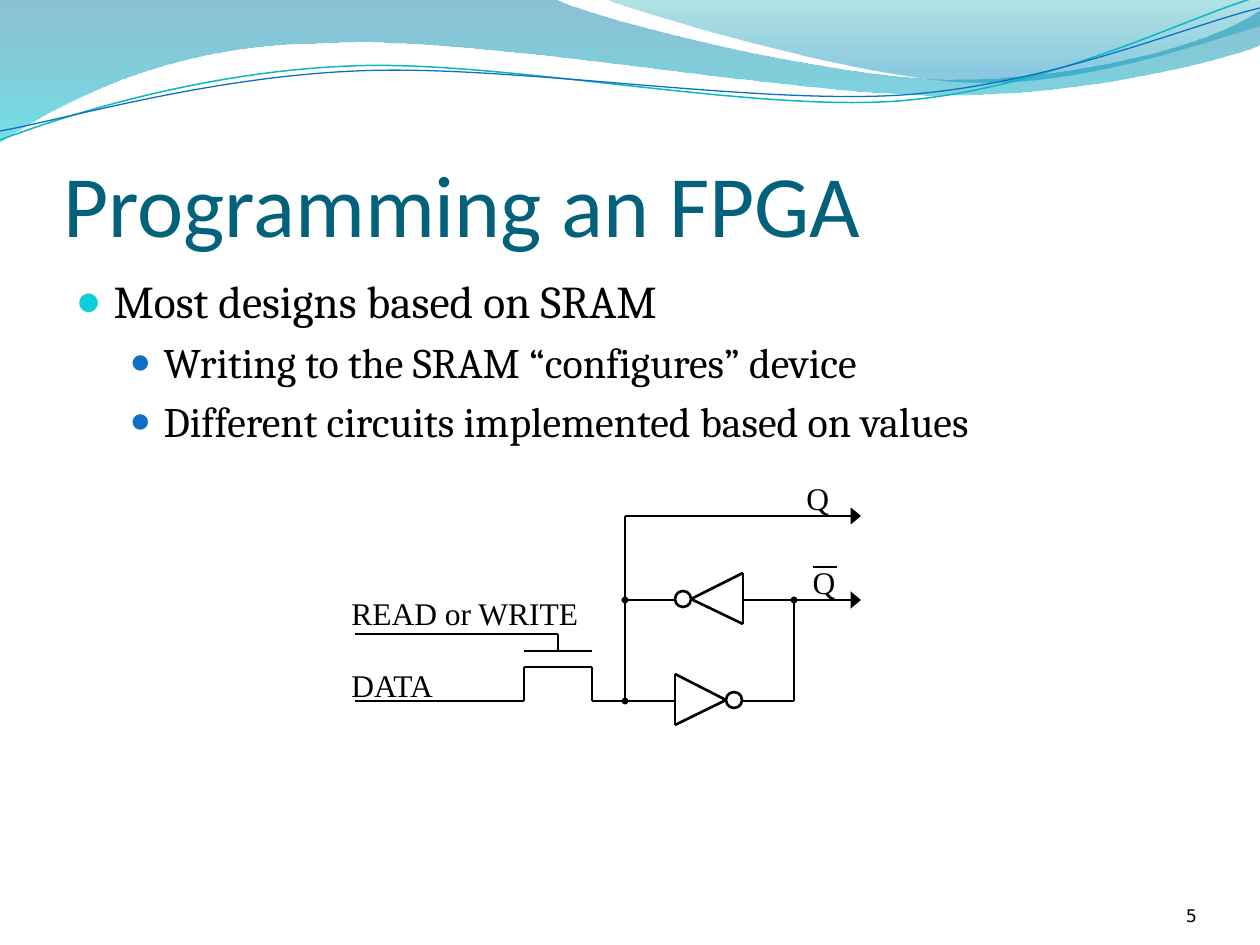
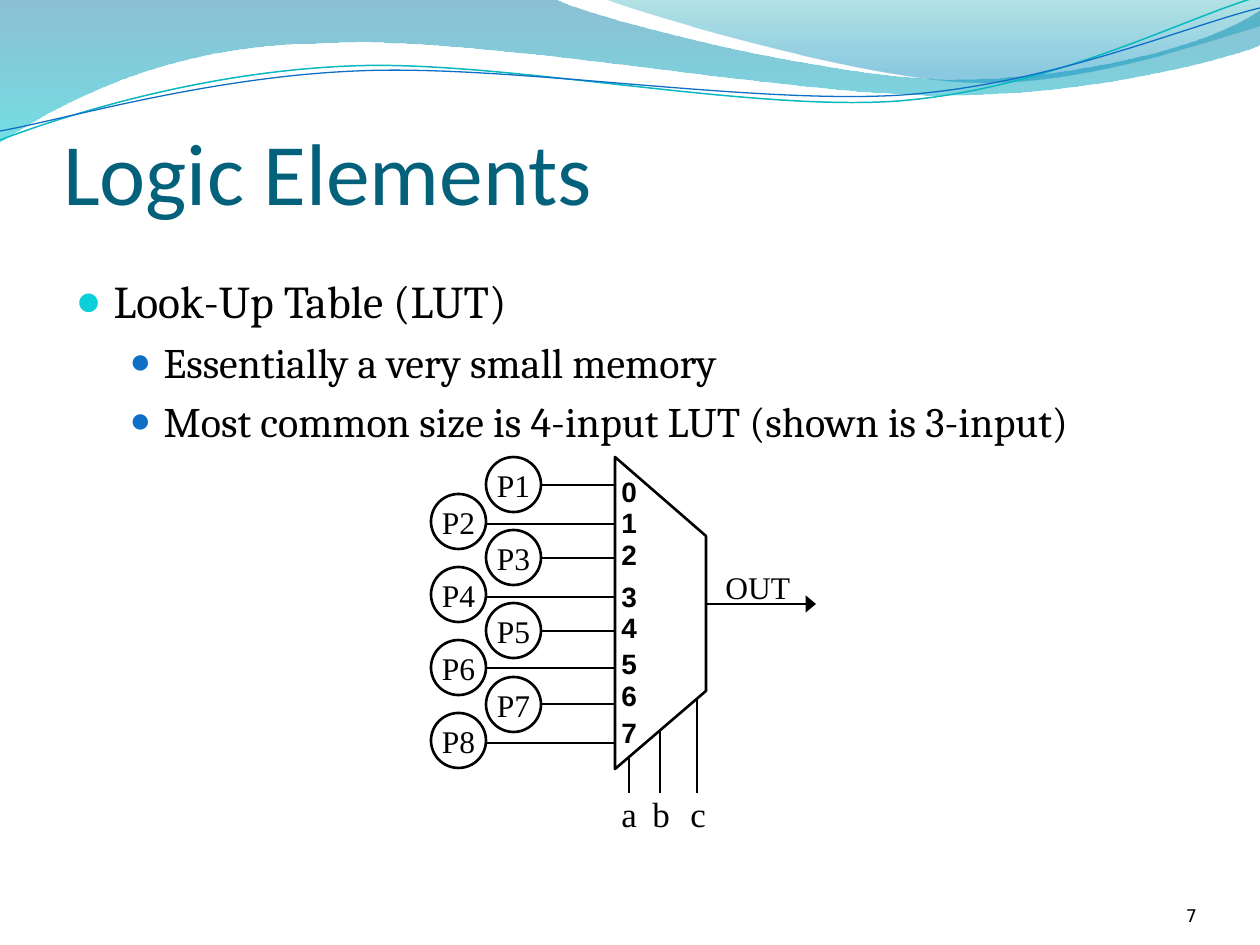
from dataclasses import dataclass

from lxml.etree import SubElement
from pptx import Presentation
from pptx.dml.color import RGBColor
from pptx.enum.shapes import MSO_CONNECTOR, MSO_SHAPE
from pptx.enum.text import MSO_ANCHOR, MSO_AUTO_SIZE, PP_ALIGN
from pptx.oxml.ns import qn
from pptx.util import Emu, Inches, Pt

PIXELS_PER_INCH = 126


@dataclass(frozen=True)
class TextStyle:
    font: str
    size: int
    color: str = "000000"
    bold: bool = False


@dataclass(frozen=True)
class Bullet:
    color: str
    percent: int
    margin: int
    hanging: int


@dataclass(frozen=True)
class Theme:
    ink: str = "000000"
    wire_width: float = 1.5
    title: TextStyle = TextStyle("Calibri", 50, "04617B")
    levels: tuple = (TextStyle("Cambria", 26), TextStyle("Cambria", 24))
    bullets: tuple = (Bullet("0BD0D9", 95, 38, 38), Bullet("0F6FC6", 85, 88, 34))
    number: TextStyle = TextStyle("DejaVu Sans", 10)
    label: TextStyle = TextStyle("Times New Roman", 18)
    select: TextStyle = TextStyle("Times New Roman", 20)
    port: TextStyle = TextStyle("Arial", 16, bold=True)
    # Gradient stops: position, colour, opacity in percent
    wide_wave: tuple = ((0, "0074A1", 45), (1, "00C6CF", 55))
    right_wave: tuple = ((0, "00A1A9", 30), (0.8, "008BBF", 45))
    upper_line: tuple = ("0AB8BF", 0.85)
    lower_line: tuple = ("0F6FC6", 0.75)


THEME = Theme()

# Line ends: type, width, length
ARROW = ("triangle", "lg", "med")
DOT = ("oval", "sm", "sm")

# Outlines: a start, then parts of one point (line) or three points (Bezier curve)
WIDE_WAVE = [
    [(0, -1)], [(554, -1)],
    [(600, 21), (837, 79), (955, 79)], [(1075, 79), (1207, 47), (1260, 11)],
    [(1261, 45)],
    [(1239, 55), (1096, 96), (940, 95)], [(784, 95), (481, 35), (324, 43)],
    [(163, 44), (58, 105), (-1, 142)], [(0, -1)],
]
RIGHT_WAVE = [
    [(604, -1)], [(641, 14), (859, 78), (969, 82)],
    [(1079, 87), (1211, 40), (1260, 26)], [(1260, 0)], [(604, -1)],
]
UPPER_LINE = [
    [(0, 140)], [(60, 117), (199, 72), (349, 66)],
    [(498, 59), (747, 112), (898, 101)], [(1050, 89), (1182, 19), (1257, -3)],
]
LOWER_LINE = [
    [(0, 131)], [(59, 121), (207, 77), (357, 71)],
    [(508, 64), (752, 105), (903, 95)], [(1053, 84), (1186, 26), (1260, 8)],
]
MULTIPLEXER = [[(615, 769)], [(706, 691)], [(706, 536)], [(615, 457)], [(615, 769)]]


def px(value):
    return Emu(round(value * Inches(1) / PIXELS_PER_INCH))


def place(shape, left, top, width, height):
    shape.left, shape.top = px(left), px(top)
    shape.width, shape.height = px(width), px(height)


# Text

def format_paragraph(paragraph, style, alignment=PP_ALIGN.LEFT):
    paragraph.alignment = alignment
    for run in paragraph.runs:
        run.font.name = style.font
        run.font.size = Pt(style.size)
        run.font.bold = style.bold
        run.font.color.rgb = RGBColor.from_string(style.color)


def set_insets(text_frame, top=0):
    text_frame.margin_left = text_frame.margin_right = text_frame.margin_bottom = 0
    text_frame.margin_top = px(top)


def add_label(slide, text, box, style, alignment=PP_ALIGN.LEFT):
    text_box = slide.shapes.add_textbox(*map(px, box))
    text_frame = text_box.text_frame
    text_frame.text = text
    text_frame.word_wrap = False
    text_frame.auto_size = MSO_AUTO_SIZE.SHAPE_TO_FIT_TEXT
    format_paragraph(text_frame.paragraphs[0], style, alignment)


def add_bullet(paragraph, bullet):
    properties = paragraph._p.get_or_add_pPr()
    properties.set("marL", str(px(bullet.margin)))
    properties.set("indent", str(-px(bullet.hanging)))
    color = SubElement(properties, qn("a:buClr"))
    SubElement(color, qn("a:srgbClr"), val=bullet.color)
    SubElement(properties, qn("a:buSzPct"), val=str(bullet.percent * 1000))
    SubElement(properties, qn("a:buFont"), typeface="Arial")
    SubElement(properties, qn("a:buChar"), char="●")


def fill_title(slide, text, top):
    title = slide.shapes.title
    place(title, 63, top, 1134, 158)
    text_frame = title.text_frame
    text_frame.text = text
    text_frame.auto_size = MSO_AUTO_SIZE.NONE
    text_frame.vertical_anchor = MSO_ANCHOR.BOTTOM
    set_insets(text_frame, top=6)
    format_paragraph(text_frame.paragraphs[0], THEME.title)


def fill_list(slide, items):
    body = slide.placeholders[1]
    place(body, 63, 267, 1134, 605)
    text_frame = body.text_frame
    text_frame.text = "\n".join(text for level, text in items)
    text_frame.auto_size = MSO_AUTO_SIZE.NONE
    for paragraph, (level, text) in zip(text_frame.paragraphs, items):
        paragraph.level = level
        format_paragraph(paragraph, THEME.levels[level])
        add_bullet(paragraph, THEME.bullets[level])


def add_number(slide, number):
    text_box = slide.shapes.add_textbox(px(1092), px(876), px(105), px(50))
    text_frame = text_box.text_frame
    text_frame.text = str(number)
    text_frame.word_wrap = True
    text_frame.vertical_anchor = MSO_ANCHOR.BOTTOM
    set_insets(text_frame)
    format_paragraph(text_frame.paragraphs[0], THEME.number, PP_ALIGN.RIGHT)


# Lines and outlines

def set_line(shape, color=THEME.ink, width=THEME.wire_width):
    shape.line.color.rgb = RGBColor.from_string(color)
    shape.line.width = Pt(width)


def add_line_end(connector, tag, end):
    kind, width, length = end
    line = connector.line._get_or_add_ln()
    SubElement(line, qn(tag), type=kind, w=width, len=length)


def add_wire(slide, points, head=None, tail=None):
    """Join the points by straight lines, with optional ends on the whole run."""
    last = len(points) - 2
    for index, (start, end) in enumerate(zip(points, points[1:])):
        wire = slide.shapes.add_connector(
            MSO_CONNECTOR.STRAIGHT, *map(px, start + end))
        set_line(wire)
        if head and index == 0:
            add_line_end(wire, "a:headEnd", head)
        if tail and index == last:
            add_line_end(wire, "a:tailEnd", tail)
        SubElement(wire._element.spPr, qn("a:effectLst"))


def add_circle(slide, left, top, size, text=""):
    circle = slide.shapes.add_shape(
        MSO_SHAPE.OVAL, px(left), px(top), px(size), px(size))
    circle.shadow.inherit = False
    circle.fill.background()
    set_line(circle)
    if text:
        text_frame = circle.text_frame
        text_frame.text = text
        text_frame.word_wrap = False
        text_frame.vertical_anchor = MSO_ANCHOR.MIDDLE
        format_paragraph(text_frame.paragraphs[0], THEME.label, PP_ALIGN.CENTER)


def add_outline(slide, outline):
    start, *rest = [(px(x), px(y)) for part in outline for x, y in part]
    closed = start == rest[-1]
    builder = slide.shapes.build_freeform(*start)
    builder.add_line_segments(rest, close=closed)
    shape = builder.convert_to_shape()
    shape.shadow.inherit = False
    shape.fill.background()
    # Merge the three lines of each curve into one Bezier segment
    lines = iter(list(shape._element.spPr.iter(qn("a:lnTo"))))
    for part in outline[1:]:
        segment = [next(lines) for _ in part]
        if len(segment) == 3:
            curve = segment[0].makeelement(qn("a:cubicBezTo"))
            segment[0].addprevious(curve)
            for line in segment:
                curve.append(line[0])
                line.getparent().remove(line)
    return shape


def add_wave(slide, outline, stops):
    wave = add_outline(slide, outline)
    wave.line.fill.background()
    wave.fill.gradient()
    wave.fill.gradient_angle = 270
    for stop, (position, color, opacity) in zip(wave.fill.gradient_stops, stops):
        stop.position = position
        stop.color.rgb = RGBColor.from_string(color)
    colors = list(wave._element.spPr.iter(qn("a:srgbClr")))
    for color, (_, _, opacity) in zip(colors, stops):
        SubElement(color, qn("a:alpha"), val=str(opacity * 1000))
    return wave


def add_wave_line(slide, outline, line):
    curve = add_outline(slide, outline)
    set_line(curve, *line)
    return curve


def move_band_to_layout(slide):
    """Draw the waves once and hand them to the layout, behind its placeholders."""
    band = [
        add_wave(slide, WIDE_WAVE, THEME.wide_wave),
        add_wave(slide, RIGHT_WAVE, THEME.right_wave),
        add_wave_line(slide, UPPER_LINE, THEME.upper_line),
        add_wave_line(slide, LOWER_LINE, THEME.lower_line),
    ]
    for index, shape in enumerate(band, start=2):
        slide.slide_layout.shapes.element.insert(index, shape.element)


# Diagrams

def draw_memory_cell(slide):
    # Pass transistor with its data and gate wires
    add_wire(slide, [(355, 701), (524, 701), (524, 667), (592, 667), (592, 701), (625, 701)])
    add_wire(slide, [(524, 651), (592, 651)])
    add_wire(slide, [(558, 651), (558, 634), (355, 634)])
    # Left rail and outputs
    add_wire(slide, [(625, 701), (625, 600), (625, 516)])
    for y in (701, 600):
        add_wire(slide, [(625, y), (675, y)], head=DOT)
    add_wire(slide, [(625, 516), (861, 516)], tail=ARROW)
    add_wire(slide, [(743, 600), (861, 600)], tail=ARROW)
    add_wire(slide, [(743, 701), (794, 701), (794, 600)], tail=DOT)
    # Two inverters facing each other
    for tip, base, y, bubble in ((726, 675, 700, 726), (691, 743, 599, 675)):
        add_wire(slide, [(tip, y), (base, y + 25), (base, y - 26), (tip, y)])
        add_circle(slide, bubble, y - 8, 16)
    # Names of the signals, with a bar over the inverted one
    add_label(slide, "DATA", (339, 660, 113, 50), THEME.label)
    add_label(slide, "READ or WRITE", (339, 588, 253, 50), THEME.label)
    add_label(slide, "Q", (794, 473, 48, 50), THEME.label)
    add_label(slide, "Q", (800, 557, 48, 50), THEME.label, PP_ALIGN.CENTER)
    add_wire(slide, [(813, 567), (837, 567)])


def draw_lookup_table(slide):
    # Multiplexer and output
    set_line(add_outline(slide, MULTIPLEXER))
    add_wire(slide, [(706, 604), (816, 604)], tail=ARROW)
    add_label(slide, "OUT", (713, 562, 91, 50), THEME.label)
    # Memory bits in two staggered columns: wire height, top of port number
    ports = [(485, 468), (524, 499), (558, 531), (597, 573),
             (631, 604), (668, 640), (704, 672), (743, 709)]
    for index, (wire_y, number_top) in enumerate(ports):
        left = 431 if index % 2 else 486
        add_circle(slide, left, 457 + round(36.6 * index), 55, f"P{index + 1}")
        add_wire(slide, [(left + 55, wire_y), (615, wire_y)])
        add_label(slide, str(index), (609, number_top, 40, 47), THEME.port, PP_ALIGN.CENTER)
    # Select inputs
    for name, x, top, left in (("a", 629, 757, 609), ("b", 660, 730, 640), ("c", 697, 699, 678)):
        add_wire(slide, [(x, top), (x, 793)])
        add_label(slide, name, (left, 786, 41, 54), THEME.select)


def add_content_slide(presentation, title, title_top, items, number):
    slide = presentation.slides.add_slide(presentation.slide_layouts[1])
    fill_title(slide, title, title_top)
    fill_list(slide, items)
    add_number(slide, number)
    return slide


def main():
    presentation = Presentation()
    presentation.slide_width, presentation.slide_height = Inches(10), Inches(7.5)

    programming = add_content_slide(presentation, "Programming an FPGA", 97, [
        (0, "Most designs based on SRAM"),
        (1, "Writing to the SRAM “configures” device"),
        (1, "Different circuits implemented based on values")], 5)
    move_band_to_layout(programming)
    draw_memory_cell(programming)

    logic = add_content_slide(presentation, "Logic Elements", 65, [
        (0, "Look-Up Table (LUT)"),
        (1, "Essentially a very small memory"),
        (1, "Most common size is 4-input LUT (shown is 3-input)")], 7)
    draw_lookup_table(logic)

    presentation.save("out.pptx")


main()
